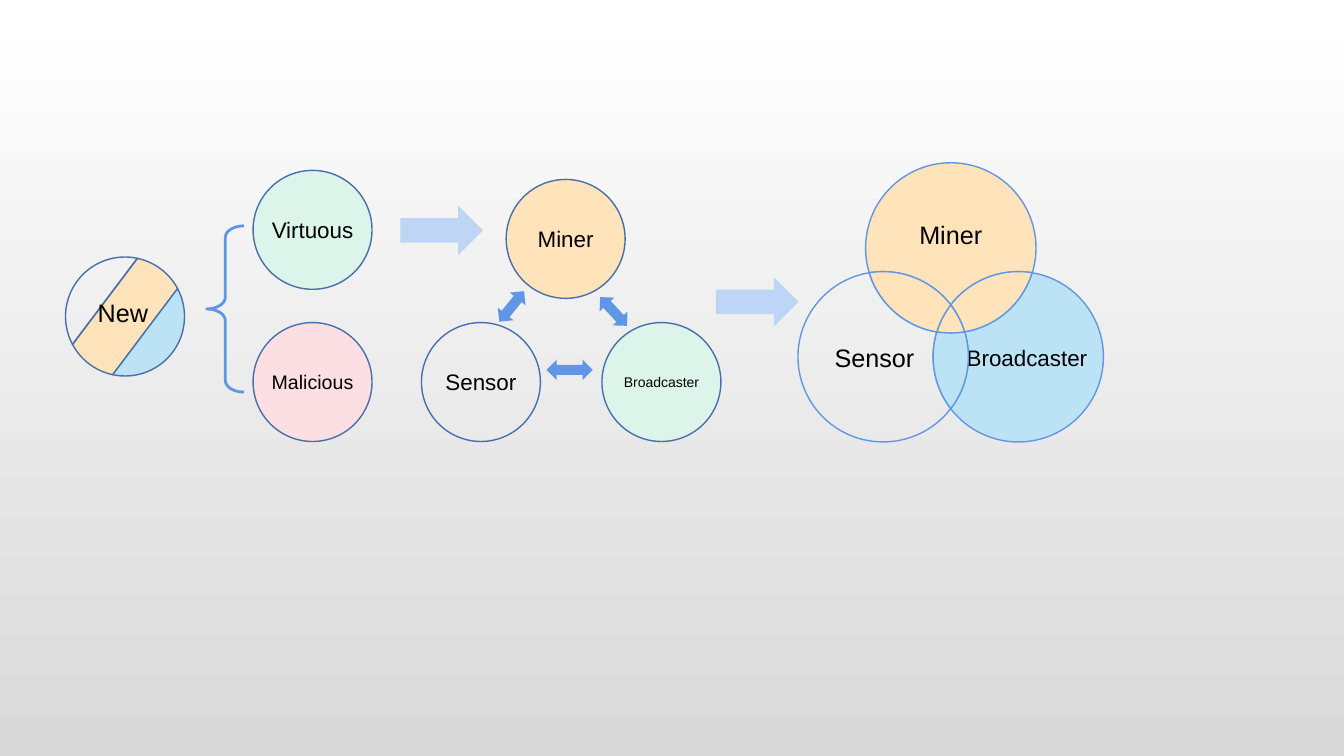
"""Build a slide on how a new node is sorted, takes roles and ends with overlapping roles."""
import math

from lxml import etree
from pptx import Presentation
from pptx import util as u
from pptx.dml.color import RGBColor
from pptx.enum import shapes, text
from pptx.oxml import ns

C = {"white": "FFFFFF", "grey": "D9D9D9", "orange": "FFE3BB", "sky": "BCE2F5",
     "mint": "DDF4EA", "rose": "FBDFE3", "pale": "BFD5F5", "blue": "6096E6",
     "navy": "476FAA", "black": "000000"}
MSO = shapes.MSO_SHAPE


def paint(sp, fill=None, line=None, width=1):
    sp.shadow.inherit = False
    if fill:
        sp.fill.solid()
        sp.fill.fore_color.rgb = RGBColor.from_string(C[fill])
    else:
        sp.fill.background()
    if line:
        sp.line.color.rgb = RGBColor.from_string(C[line])
        sp.line.width = u.Pt(width)
    else:
        sp.line.fill.background()


def write(sp, label, size=18, align=text.PP_ALIGN.CENTER, anchor=text.MSO_ANCHOR.MIDDLE, inset=None):
    tf = sp.text_frame
    tf.word_wrap = True
    tf.vertical_anchor = anchor
    if inset is not None:
        tf.margin_left = tf.margin_right = tf.margin_top = tf.margin_bottom = inset
    p = tf.paragraphs[0]
    p.alignment = align
    r = p.add_run()
    r.text = label
    r.font.size = u.Pt(size)
    r.font.name = "Arial"
    r.font.color.rgb = RGBColor.from_string(C["black"])


prs = Presentation()
prs.slide_width, prs.slide_height = u.Inches(13.33), u.Inches(7.5)
s = prs.slides.add_slide(prs.slide_layouts[6])
bg = s.background.fill
bg.gradient()
bg.gradient_angle = 270
for stop, shade in zip(bg.gradient_stops, ("white", "grey")):
    stop.color.rgb = RGBColor.from_string(C[shade])

# Each role region lists its arcs clockwise: circle, start, end; lower case runs backwards.
venn = s.shapes.add_group_shape()
radius = 1.69 / 2
centers = {"M": (9.43, 2.46), "S": (8.76, 3.54), "B": (10.1, 3.54)}
corners = {"ms_out": (8.63, 2.72), "ms_in": (9.3, 3.29), "mb_out": (10.24, 2.72),
           "mb_in": (9.57, 3.29), "sb_top": (9.43, 3.03), "sb_low": (9.43, 4.05)}
regions = [
    ("ms_out m ms_in b sb_low S", None, "Sensor", 18),
    ("ms_out M mb_out b sb_top s", "orange", "Miner", 18),
    ("sb_top B mb_out M mb_in s", "orange", None, 0),
    ("mb_out B sb_low s mb_in m", "sky", "Broadcaster", 16),
    ("sb_top S mb_in M ms_in B", "orange", None, 0),
    ("mb_in S sb_low B ms_in m", "sky", None, 0),
    ("ms_out S sb_top b ms_in M", "orange", None, 0),
]
outlines = []
for route, fill, label, size in regions:
    steps = route.split()
    names, edges = steps[::2], steps[1::2]
    arcs = []
    for start, edge, end in zip(names, edges, names[1:] + names[:1]):
        cx, cy = centers[edge.upper()]
        a, b = (math.degrees(math.atan2(corners[n][1] - cy, corners[n][0] - cx))
                for n in (start, end))
        sweep = (b - a) % 360 if edge.isupper() else -((a - b) % 360)
        arcs.append((cx, cy, radius, a, sweep))
    outlines.append((venn, arcs, fill, "blue", label, size, None))

new_node = s.shapes.add_group_shape()
new_x, new_y, new_r, tilt = 1.24, 3.14, 0.59, 37
cut = 65
for fill, offset, spans in (("orange", 0, ((-115, 50), (cut, 50))),
                            (None, -0.42, ((115, 130),)),
                            ("sky", 0.42, ((-cut, 130),))):
    arcs = [(new_x, new_y, new_r, a, sweep) for a, sweep in spans]
    outlines.append((new_node, arcs, fill, "navy", None, 0, offset))

for group, arcs, fill, line, label, size, offset in outlines:
    points, bends = [], []
    for cx, cy, r, a, sweep in arcs:
        low, high = sorted((a, a + sweep))
        quarters = [q for q in range(-360, 721, 90) if low < q < high]
        stops = sorted([low, *quarters, high], reverse=sweep < 0)
        for i, stop in enumerate(stops):
            angle = math.radians(stop)
            points.append((u.Inches(cx + r * math.cos(angle)), u.Inches(cy + r * math.sin(angle))))
            bends.append((r, stops[i - 1], stop - stops[i - 1]) if i else None)
    fb = group.shapes.build_freeform(*points[0])
    fb.add_line_segments(points[1:], close=True)
    sp = fb.convert_to_shape()
    for segment, bend in zip(list(sp.element.iter(ns.qn("a:lnTo"))), bends[1:]):
        if bend:
            r, start, sweep = bend
            arc = etree.Element(ns.qn("a:arcTo"), wR=str(u.Inches(r)), hR=str(u.Inches(r)),
                                stAng=str(round(start % 360 * 60000)),
                                swAng=str(round(sweep * 60000)))
            segment.getparent().replace(segment, arc)
    paint(sp, fill, line)
    if label:
        write(sp, label, size)
    if offset is not None:
        turn = math.radians(tilt)
        sp.left = u.Inches(new_x + offset * math.cos(turn)) - sp.width // 2
        sp.top = u.Inches(new_y + offset * math.sin(turn)) - sp.height // 2
        sp.rotation = tilt

for x, y, turn in ((3.97, 2.04, 0), (7.1, 2.75, 0)):
    sp = s.shapes.add_shape(MSO.RIGHT_ARROW, *map(u.Inches, (x, y, 0.82, 0.49)))
    paint(sp, "pale")

cycle = s.shapes.add_group_shape()
node = 1.18
for owner, label, x, y, fill, size in (
        (s, "Virtuous", 2.51, 1.69, "mint", 16),
        (s, "Malicious", 2.51, 3.2, "rose", 14),
        (cycle, "Sensor", 4.18, 3.2, None, 16),
        (cycle, "Miner", 5.02, 1.78, "orange", 16),
        (cycle, "Broadcaster", 5.97, 3.2, "mint", 10)):
    sp = owner.shapes.add_shape(MSO.OVAL, *map(u.Inches, (x, y, node, node)))
    paint(sp, fill, "navy")
    write(sp, label, size, inset=0)

for x, y, w, turn in ((4.88, 2.94, 0.39, 309), (5.89, 2.99, 0.39, 47), (5.42, 3.57, 0.46, 0)):
    sp = cycle.shapes.add_shape(MSO.LEFT_RIGHT_ARROW, *map(u.Inches, (x, y, w, 0.2)))
    sp.rotation = turn
    paint(sp, "blue")

brace = s.shapes.add_shape(MSO.LEFT_BRACE, *map(u.Inches, (2.05, 2.24, 0.37, 1.65)))
brace.adjustments[0], brace.adjustments[1] = 0.31, 0.5
paint(brace, line="blue", width=2)

tb = s.shapes.add_textbox(*map(u.Inches, (0.87, 2.9, 0.74, 0.4)))
write(tb, "New", align=text.PP_ALIGN.LEFT, anchor=text.MSO_ANCHOR.TOP)
tb.text_frame.auto_size = text.MSO_AUTO_SIZE.SHAPE_TO_FIT_TEXT

prs.save("out.pptx")
